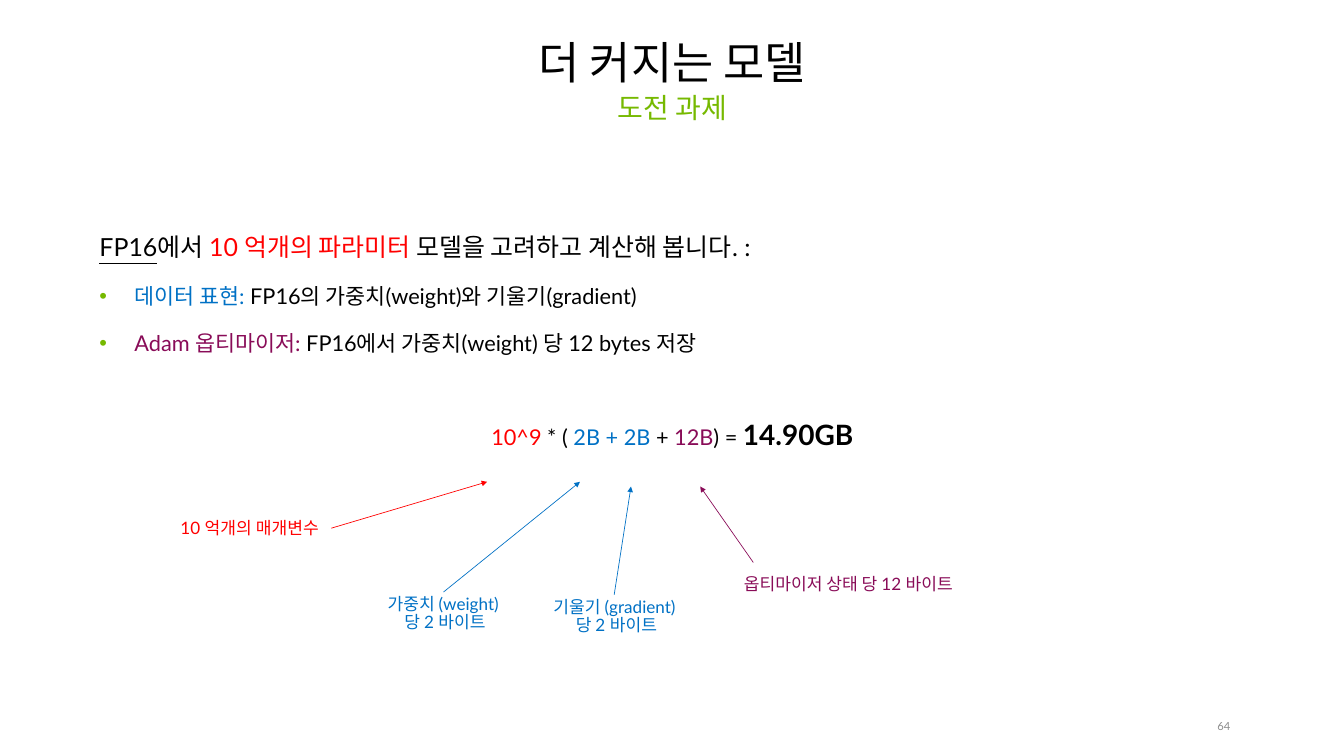
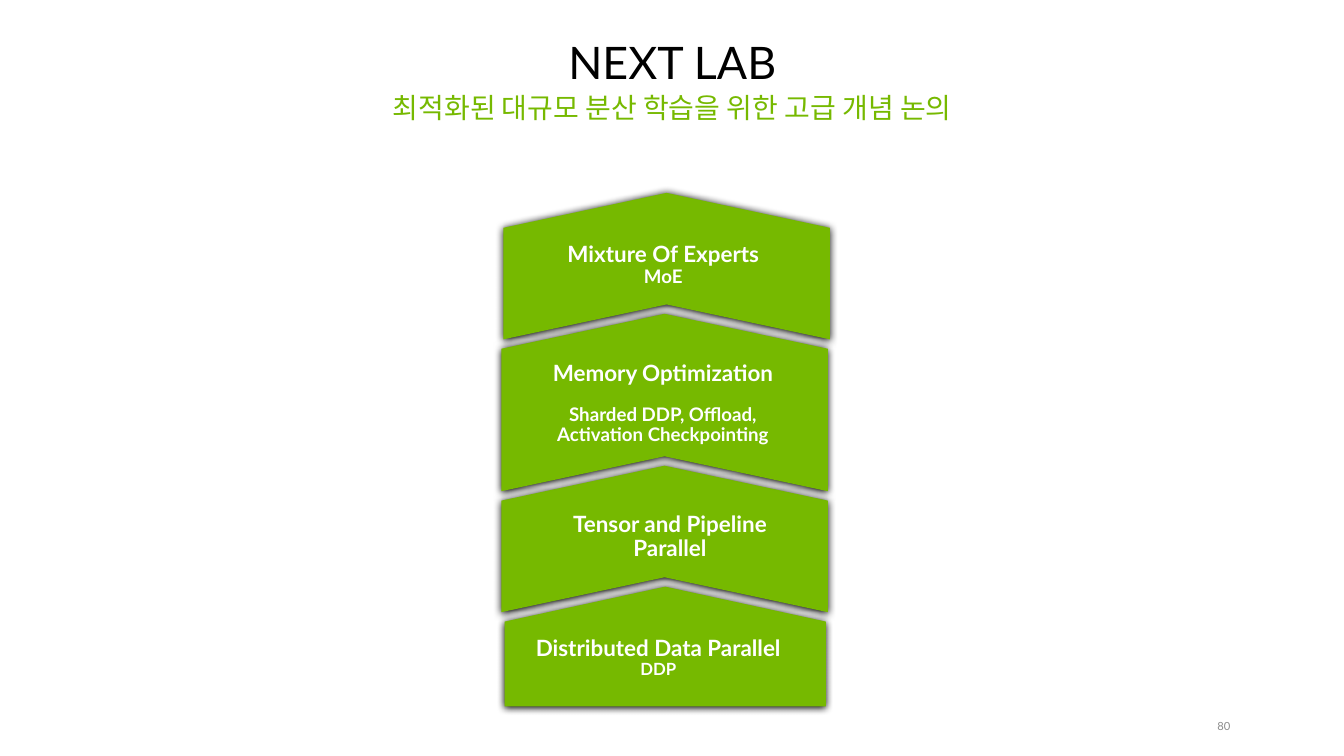
"""Build two lesson slides: the memory needs of a larger model and the next lab."""
from lxml.etree import SubElement
from pptx import Presentation
from pptx.dml.color import RGBColor
from pptx.enum.shapes import MSO_CONNECTOR, MSO_SHAPE
from pptx.enum.text import MSO_ANCHOR as ANCHOR, MSO_AUTO_SIZE as AUTOSIZE, PP_ALIGN as ALIGN
from pptx.oxml.ns import qn
from pptx.util import Inches, Pt

BLACK = RGBColor(0x00, 0x00, 0x00)
WHITE = RGBColor(0xFF, 0xFF, 0xFF)
GREEN = RGBColor(0x76, 0xB9, 0x00)
GREY = RGBColor(0x8C, 0x8C, 0x8C)
RED = RGBColor(0xFF, 0x00, 0x00)
BLUE = RGBColor(0x00, 0x71, 0xC5)
PURPLE = RGBColor(0x89, 0x0C, 0x58)
FONT = "Lato"
COLUMNS, ROWS = 20, 11.25
CELL = Inches(1)


def grid(*cells):
    """Turn columns and rows into lengths."""
    return [round(cell * CELL) for cell in cells]


def write(frame, lines, anchor=ANCHOR.MIDDLE, align=ALIGN.CENTER):
    """Fill a frame with lines of (runs, paragraph format); a run is (text, size, colour, font format)."""
    for key, value in {"word_wrap": True, "auto_size": AUTOSIZE.NONE, "vertical_anchor": anchor}.items():
        setattr(frame, key, value)
    for number, (runs, layout) in enumerate(lines):
        paragraph = frame.paragraphs[0] if number == 0 else frame.add_paragraph()
        spacing = {"alignment": align, "line_spacing": 0.9, "space_before": Pt(0), "space_after": Pt(0)}
        for key, value in {**spacing, **layout}.items():
            setattr(paragraph, key, value)
        for text, size, colour, *extra in runs:
            run = paragraph.add_run()
            run.text = text
            run.font.color.rgb = colour
            style = {"name": FONT, "size": Pt(size), "bold": False}
            for key, value in {**style, **(extra[0] if extra else {})}.items():
                setattr(run.font, key, value)


deck = Presentation()
deck.slide_width, deck.slide_height = grid(COLUMNS, ROWS)
comparison = deck.slide_layouts[4]

pages = [
    ("더 커지는 모델", "도전 과제", "64", 2),
    ("NEXT LAB", "최적화된 대규모 분산 학습을 위한 고급 개념 논의", "80", 1),
]
areas = [(1.38, 0, 17.25, 1.38), (1.38, 1.36, 17.25, 0.77), (1.38, 3.45, 17.25, 6.67)]
slides = []
for title, subtitle, page_number, last_used in pages:
    slide = deck.slides.add_slide(comparison)
    slides.append(slide)
    for holder in list(slide.placeholders):
        index = holder.placeholder_format.idx
        if index > last_used:
            holder.element.getparent().remove(holder.element)
            continue
        for side, length in zip(("left", "top", "width", "height"), grid(*areas[index])):
            setattr(holder, side, length)
    write(slide.shapes.title.text_frame, [([(title, 48, BLACK)], {})], ANCHOR.BOTTOM)
    write(slide.placeholders[1].text_frame, [([(subtitle, 30, GREEN)], {})], ANCHOR.TOP)
    footer = slide.shapes.add_textbox(*grid(17.77, 10.71, 0.54, 0.2)).text_frame
    for margin in ("left", "top", "right", "bottom"):
        setattr(footer, f"margin_{margin}", 0)
    write(footer, [([(page_number, 12, GREY)], {})], align=ALIGN.RIGHT)

model, lab = slides

estimate = model.placeholders[2].text_frame
write(estimate, [
    ([("FP16", 26.7, BLACK, {"underline": True}), ("에서 ", 26.7, BLACK),
      ("10 억개의 파라미터 ", 26.7, RED), ("모델을 고려하고 계산해 봅니다. :", 26.7, BLACK)], {}),
    ([("데이터 표현: ", 23.3, BLUE), ("FP16의 가중치(weight)와 기울기(gradient)", 23.3, BLACK)],
     {"level": 1, "space_before": Pt(25)}),
    ([("Adam 옵티마이저: ", 23.3, PURPLE), ("FP16에서 가중치(weight) 당 12 bytes 저장", 23.3, BLACK)],
     {"level": 1, "space_before": Pt(25)}),
    ([("10^9", 23.3, RED), (" * ( ", 23.3, BLACK), ("2B + 2B ", 23.3, BLUE), ("+ ", 23.3, BLACK),
      ("12B", 23.3, PURPLE), (") = ", 23.3, BLACK), ("14.90GB", 30, BLACK, {"bold": True})],
     {"alignment": ALIGN.CENTER, "space_before": Pt(70)}),
], ANCHOR.TOP, ALIGN.LEFT)
for paragraph in estimate.paragraphs:
    properties = paragraph._p.get_or_add_pPr()
    indent = Inches(0.52) if paragraph.level else 0
    properties.set("marL", str(indent))
    properties.set("indent", str(-indent))
    if paragraph.level:
        SubElement(SubElement(properties, qn("a:buClr")), qn("a:srgbClr"), val=str(GREEN))
        SubElement(properties, qn("a:buFont"), typeface="Arial")
        SubElement(properties, qn("a:buChar"), char="•")
    else:
        SubElement(properties, qn("a:buNone"))

terms = [
    ("옵티마이저 상태 당 12 바이트", PURPLE, (10.82, 8.51, 3.61, 0.38), (11.21, 8.37, 10.42, 7.24)),
    ("기울기 (gradient)\v 당 2 바이트", BLUE, (7.34, 8.85, 3.61, 0.66), (9.14, 8.85, 9.39, 7.24)),
    ("가중치 (weight)\v 당 2 바이트", BLUE, (5.41, 8.81, 2.37, 0.66), (6.6, 8.81, 8.63, 7.17)),
    ("10 억개의 매개변수", RED, (2.5, 7.68, 2.43, 0.38), (4.93, 7.86, 7.25, 7.17)),
]
for meaning, colour, area, route in terms:
    pointer = model.shapes.add_connector(MSO_CONNECTOR.STRAIGHT, *grid(*route))
    pointer.line.color.rgb = colour
    pointer.line.width = Pt(0.75)
    SubElement(pointer.line._get_or_add_ln(), qn("a:tailEnd"), type="triangle")
    SubElement(pointer._element.spPr, qn("a:effectLst"))
    caption = model.shapes.add_textbox(*grid(*area)).text_frame
    lines = [[(part, 18.3, colour)] for part in meaning.split("\v")]
    write(caption, [(runs, {}) for runs in lines])

TIP, OVERLAP = 0.52, 0.38
stages = [
    (MSO_SHAPE.PENTAGON, 9.9, 1.78, 4.78, (7.17, 9.41, 5.25, 0.77),
     [("Distributed Data Parallel", 24, 0), ("DDP", 18, 0)]),
    (MSO_SHAPE.CHEVRON, 9.89, 2.18, 4.86, (8.04, 7.58, 3.86, 0.83),
     [("Tensor and Pipeline Parallel", 24, 0)]),
    (MSO_SHAPE.CHEVRON, 9.89, 2.64, 4.86, (7.31, 5.34, 5.11, 1.34),
     [("Memory Optimization", 24, 0), ("Sharded DDP, Offload,", 20, 19.5),
      ("Activation Checkpointing", 20, 0)]),
    (MSO_SHAPE.CHEVRON, 9.92, 2.18, 4.86, (7.54, 3.56, 4.66, 0.77),
     [("Mixture Of Experts", 24, 0), ("MoE", 20, 0)]),
]
bottom = 10.51
for outline, center, depth, breadth, area, lines in stages:
    middle = bottom - depth / 2
    step = lab.shapes.add_shape(
        outline, *grid(center - depth / 2, middle - breadth / 2, depth, breadth))
    step.rotation = 270
    step.adjustments[0] = TIP / depth
    step.fill.solid()
    step.fill.fore_color.rgb = GREEN
    step.line.fill.background()
    step.shadow.inherit = False
    effects = step._element.spPr.find(qn("a:effectLst"))
    shadow = SubElement(effects, qn("a:outerShdw"), blurRad=str(Pt(8.5)), dist=str(Pt(1)),
                        dir="5400000", rotWithShape="0")
    SubElement(shadow, qn("a:srgbClr"), val=str(BLACK))
    label = lab.shapes.add_textbox(*grid(*area)).text_frame
    write(label, [([(text, size, WHITE, {"bold": True})], {"space_before": Pt(gap)})
                  for text, size, gap in lines])
    bottom -= depth - OVERLAP

deck.save("out.pptx")
